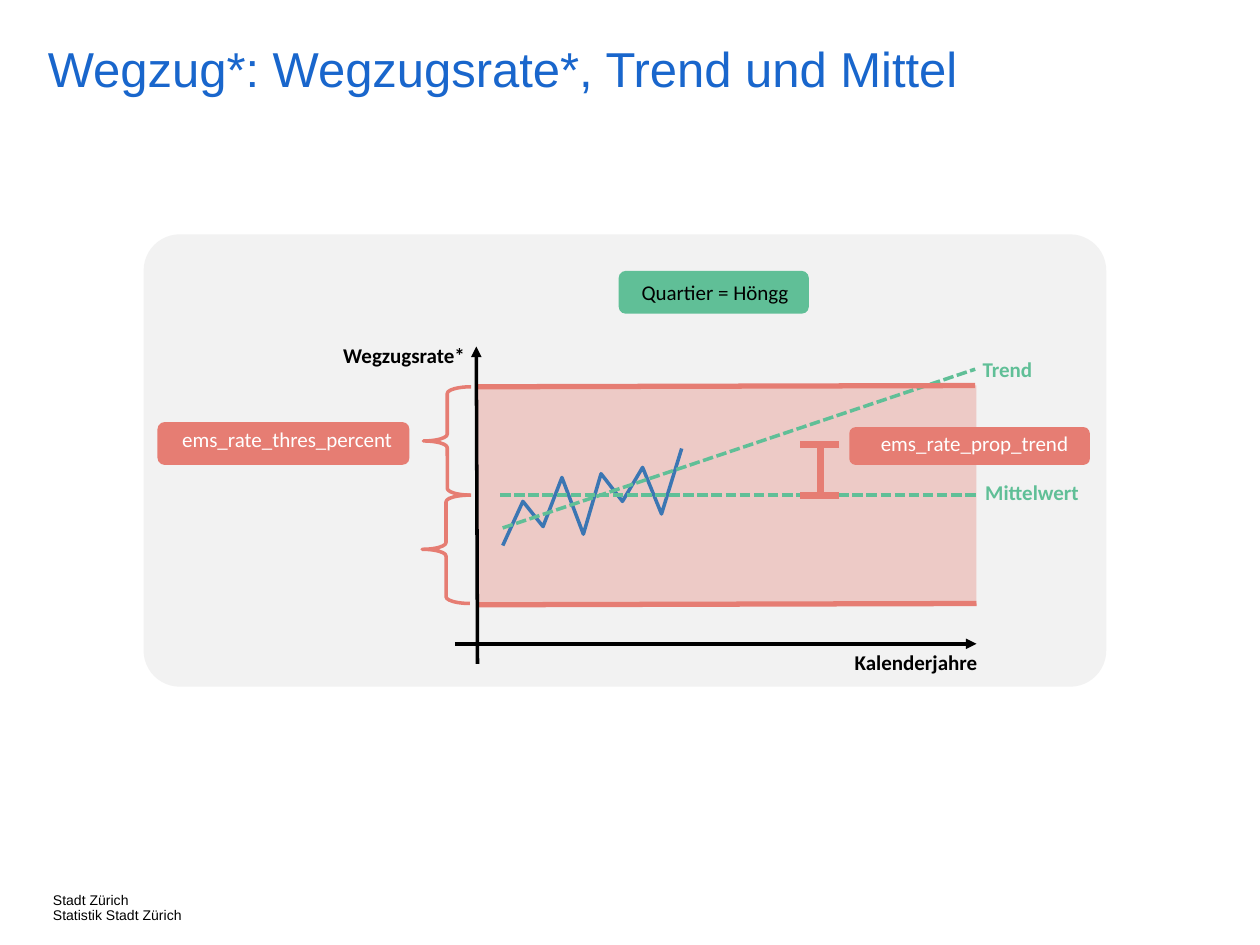
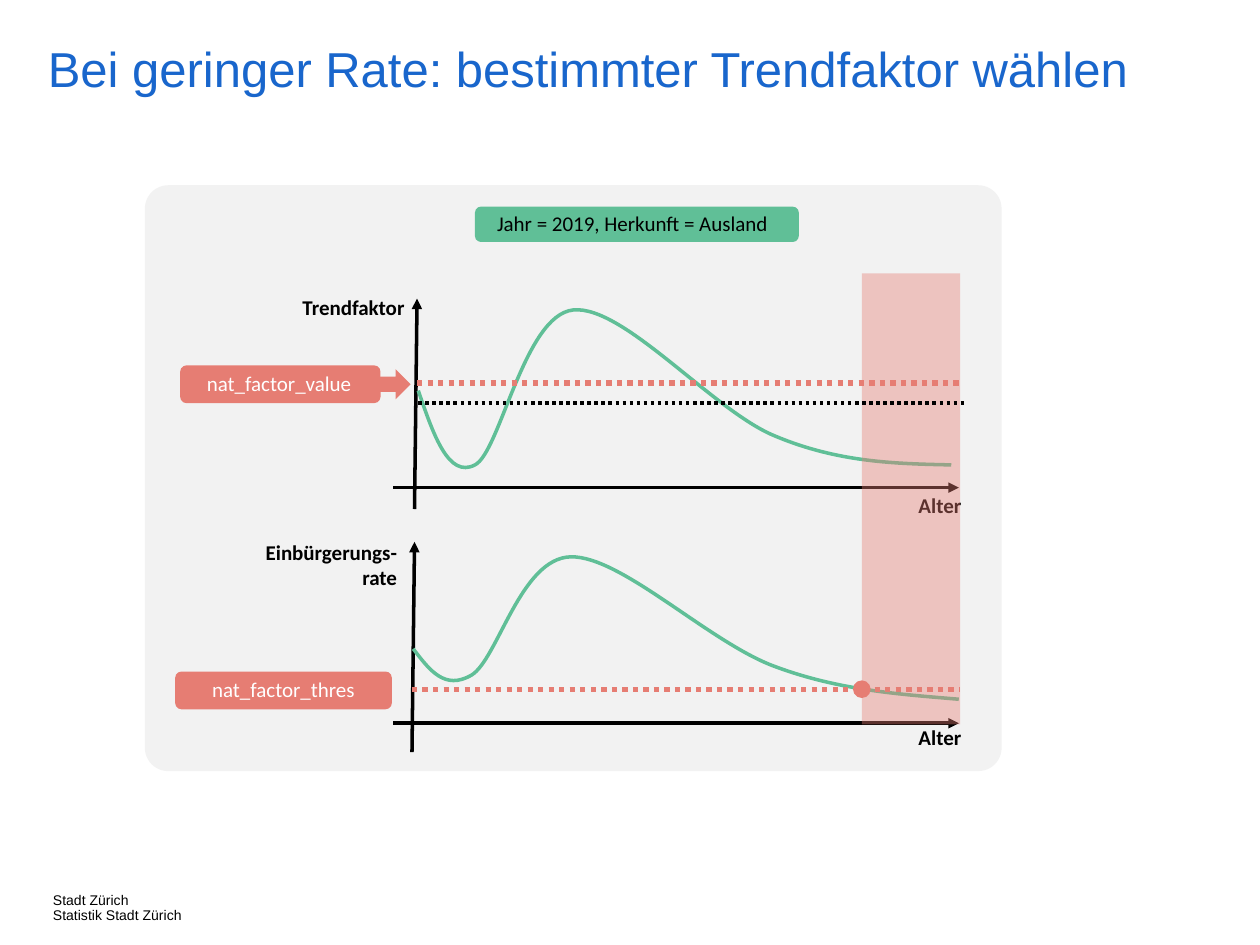
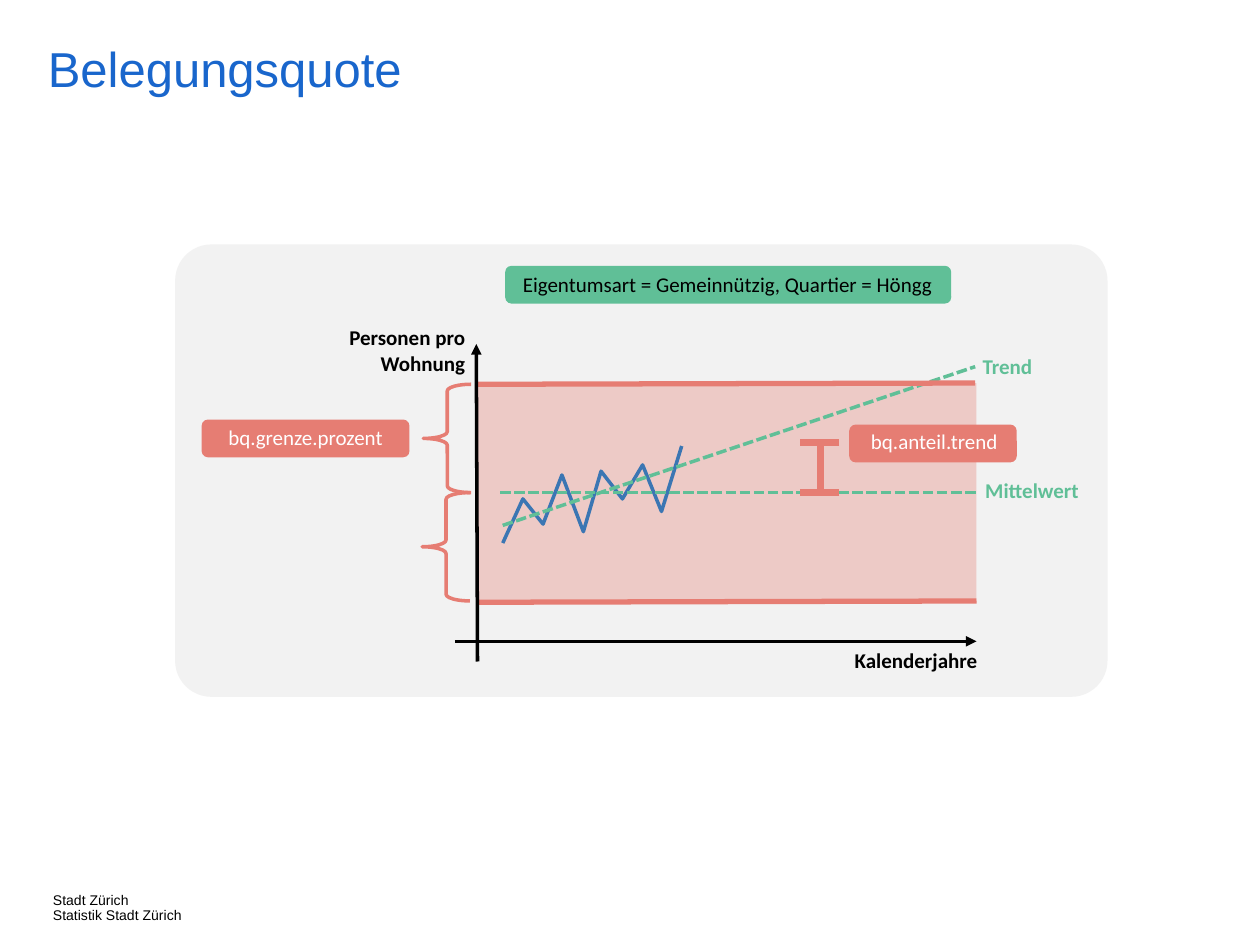
"""Build three slides on trend limits for rates, with one shared frame."""
from lxml import etree
from pptx import Presentation
from pptx.dml.color import RGBColor
from pptx.enum.dml import MSO_LINE
from pptx.enum.shapes import MSO_CONNECTOR, MSO_SHAPE
from pptx.enum.text import MSO_ANCHOR, MSO_AUTO_SIZE, PP_ALIGN
from pptx.oxml.ns import qn
from pptx.util import Inches, Pt

ROUNDED, RECTANGLE, OVAL = MSO_SHAPE.ROUNDED_RECTANGLE, MSO_SHAPE.RECTANGLE, MSO_SHAPE.OVAL
BRACE, ARROW = MSO_SHAPE.LEFT_BRACE, MSO_SHAPE.RIGHT_ARROW
DASHED, DOTTED = MSO_LINE.SQUARE_DOT, MSO_LINE.ROUND_DOT
LEFT, CENTER, RIGHT = PP_ALIGN.LEFT, PP_ALIGN.CENTER, PP_ALIGN.RIGHT
TOP, NO_FIT, STRAIGHT = MSO_ANCHOR.TOP, MSO_AUTO_SIZE.NONE, MSO_CONNECTOR.STRAIGHT

BLUE, BLACK, WHITE = "1966CC", "000000", "FFFFFF"
PANEL, RED, GREEN, SERIES = "F2F2F2", "E67D73", "60BF97", "3B76B3"

TITLE_FONT = {"name": "Arial", "size": Pt(28), "bold": False}
FOOTER_FONT = {"name": "Arial", "size": Pt(8), "bold": False}
PLAIN_FONT = {"name": "Calibri", "size": Pt(12), "bold": False}
BOLD_FONT = {**PLAIN_FONT, "bold": True}
FLUSH = dict.fromkeys(("margin_left", "margin_top", "margin_right", "margin_bottom"), 0)

FOOTER = ["Stadt Zürich", "Statistik Stadt Zürich"]
FOOTER_BOX = (0.42, 7.09, 1.31, 0.2)

MIGRATION = {
    "title": "Wegzug*: Wegzugsrate*, Trend und Mittel",
    "mean": 3.93,
    "panel": (1.14, 1.86, 7.64, 3.59),
    "measure": ("Wegzugsrate*", (2.56, 2.67, 1.23, 0.3)),
    "pills": [
        ("Quartier = Höngg", GREEN, BLACK, (4.91, 2.15, 1.51, 0.34), (4.93, 2.17, 1.49, 0.3)),
        ("ems_rate_thres_percent", RED, WHITE, (1.25, 3.35, 2, 0.34), (1.25, 3.34, 2.06, 0.3)),
        ("ems_rate_prop_trend", RED, WHITE, (6.74, 3.39, 1.91, 0.3), (6.82, 3.37, 1.83, 0.3)),
    ],
}
OCCUPANCY = {
    "title": "Belegungsquote",
    "mean": 3.91,
    "panel": (1.39, 1.94, 7.4, 3.59),
    "measure": ("Personen pro Wohnung", (2.55, 2.53, 1.24, 0.5)),
    "pills": [
        ("Eigentumsart = Gemeinnützig, Quartier = Höngg", GREEN, BLACK,
         (4.01, 2.11, 3.54, 0.3), (3.9, 2.11, 3.75, 0.3)),
        ("bq.grenze.prozent", RED, WHITE, (1.6, 3.33, 1.65, 0.3), (1.62, 3.32, 1.61, 0.3)),
        ("bq.anteil.trend", RED, WHITE, (6.74, 3.37, 1.33, 0.3), (6.76, 3.35, 1.31, 0.3)),
    ],
}
RATES = [(3.99, 0.4), (4.15, 0.05), (4.31, 0.25), (4.46, -0.14), (4.63, 0.31),
         (4.77, -0.17), (4.94, 0.05), (5.1, -0.22), (5.25, 0.15), (5.41, -0.37)]
RATE_LABELS = [
    ("Kalenderjahre", BLACK, CENTER, 6.65, 1.18, 1.24),
    ("Mittelwert", GREEN, RIGHT, 7.42, -0.17, 1.24),
    ("Trend", GREEN, RIGHT, 7.65, -1.15, 0.64),
]
RATE_LINES = [
    ((3.97, 0), (7.75, 0), GREEN, 2, DASHED),
    ((3.99, 0.26), (7.74, -1), GREEN, 2, DASHED),
    ((3.78, 0.87), (7.75, 0.86), RED, 3, None),
    ((3.78, -0.86), (7.74, -0.87), RED, 3, None),
    ((6.51, -0.4), (6.51, 0), RED, 4, None),
    ((6.66, -0.4), (6.35, -0.4), RED, 4, None),
    ((6.66, 0), (6.35, 0), RED, 4, None),
]
RATE_AXES = [((3.61, 1.18), (7.75, 1.18)), ((3.79, 1.34), (3.78, -1.18))]
RATE_BRACES = [(3.36, -0.86), (3.35, 0)]

FACTOR_TITLE = "Bei geringer Rate: bestimmter Trendfaktor wählen"
FACTOR_CHARTS = [
    {"measure": ("Trendfaktor", (1.91, 2.29, 1.4, 0.3)),
     "age": (6.84, 3.86, 1.24, 0.3),
     "axes": [((3.12, 3.87), (7.61, 3.87)), ((3.29, 4.04), (3.31, 2.37))],
     "curve": [(3.32, 3.1), (3.44, 3.45), (3.56, 3.8), (3.77, 3.69), (3.97, 3.59),
               (4.16, 2.5), (4.55, 2.46), (4.95, 2.42), (5.66, 3.26), (6.15, 3.46),
               (6.65, 3.67), (7.1, 3.68), (7.55, 3.69)]},
    {"measure": ("Einbürgerungs-rate", (2.01, 4.23, 1.24, 0.5)),
     "age": (6.84, 5.7, 1.24, 0.3),
     "axes": [((3.12, 5.74), (7.61, 5.74)), ((3.27, 5.97), (3.29, 4.3))],
     "curve": [(3.28, 5.15), (3.41, 5.32), (3.53, 5.48), (3.74, 5.36), (3.95, 5.24),
               (4.13, 4.43), (4.53, 4.42), (4.93, 4.41), (5.63, 5.1), (6.15, 5.29),
               (6.66, 5.48), (7.14, 5.51), (7.61, 5.55)]},
]
FACTOR_PILLS = [
    ("nat_factor_thres", RED, WHITE, (1.39, 5.33, 1.72, 0.3), (1.3, 5.32, 1.9, 0.3)),
    ("nat_factor_value", RED, WHITE, (1.43, 2.9, 1.59, 0.3), (1.34, 2.89, 1.75, 0.3)),
    ("Jahr = 2019, Herkunft = Ausland", GREEN, BLACK,
     (3.77, 1.64, 2.57, 0.28), (3.8, 1.62, 2.44, 0.3)),
]


def rgb(color):
    return RGBColor.from_string(color)


def inches(values):
    return [Inches(value) for value in values]


def assign(target, values):
    for name, value in values.items():
        setattr(target, name, value)


def write(frame, paragraphs, font, color, align, spacing=None):
    frame.text = "\n".join(paragraphs)
    for paragraph in frame.paragraphs:
        assign(paragraph, {"alignment": align, "line_spacing": spacing})
        assign(paragraph.runs[0].font, font)
        paragraph.runs[0].font.color.rgb = rgb(color)


def add_label(slide, text, box, color=BLACK, align=CENTER, font=BOLD_FONT):
    frame = slide.shapes.add_textbox(*inches(box)).text_frame
    frame.word_wrap = True
    write(frame, [text], font, color, align)


def add_block(slide, preset, box, color, radius=None, opacity=None):
    block = slide.shapes.add_shape(preset, *inches(box))
    block.shadow.inherit = False
    block.fill.solid()
    block.fill.fore_color.rgb = rgb(color)
    block.line.fill.background()
    if radius is not None:
        block.adjustments[0] = radius
    if opacity is not None:
        tint = block.fill._xPr.find(".//" + qn("a:srgbClr"))
        etree.SubElement(tint, qn("a:alpha"), val=str(opacity * 1000))


def add_pill(slide, text, fill, color, box, text_box):
    add_block(slide, ROUNDED, box, fill)
    add_label(slide, text, text_box, color, font=PLAIN_FONT)


def stroke(line, color, width, dash=None):
    line.color.rgb = rgb(color)
    line.width = Pt(width)
    if dash is not None:
        line.dash_style = dash


def add_line(slide, start, end, color, width, dash=None):
    connector = slide.shapes.add_connector(STRAIGHT, *inches(start + end))
    stroke(connector.line, color, width, dash)
    etree.SubElement(connector._element.spPr, qn("a:effectLst"))
    return connector


def add_axis(slide, start, end):
    axis = add_line(slide, start, end, BLACK, 2)
    etree.SubElement(axis.line._get_or_add_ln(), qn("a:tailEnd"), type="triangle")


def add_path(slide, points, color, curved=False):
    start, *rest = [inches(point) for point in points]
    builder = slide.shapes.build_freeform(*start)
    builder.add_line_segments(rest, close=False)
    outline = builder.convert_to_shape()
    outline.shadow.inherit = False
    outline.fill.background()
    stroke(outline.line, color, 2)
    if curved:
        route = outline._element.find(".//" + qn("a:path"))
        steps = route.findall(qn("a:lnTo"))
        for first in range(0, len(steps), 3):
            bend = etree.SubElement(route, qn("a:cubicBezTo"))
            for step in steps[first:first + 3]:
                bend.append(step[0])
                route.remove(step)


def add_brace(slide, box):
    brace = slide.shapes.add_shape(BRACE, *inches(box))
    brace.shadow.inherit = False
    brace.fill.background()
    brace.adjustments[0] = 0.14
    stroke(brace.line, RED, 2)


def add_framed_slide(deck, title, title_width=8.4):
    slide = deck.slides.add_slide(deck.slide_layouts[5])
    footer = slide.shapes.add_textbox(*inches(FOOTER_BOX)).text_frame
    assign(footer, {**FLUSH, "word_wrap": False})
    write(footer, FOOTER, FOOTER_FONT, BLACK, LEFT, 0.9)
    heading = slide.shapes.title
    place = inches((0.38, 0.36, title_width, 0.64))
    assign(heading, dict(zip(("left", "top", "width", "height"), place)))
    assign(heading.text_frame, {**FLUSH, "vertical_anchor": TOP, "auto_size": NO_FIT})
    write(heading.text_frame, [title], TITLE_FONT, BLUE, LEFT, 0.9)
    return slide


def add_rate_slide(deck, topic):
    slide = add_framed_slide(deck, topic["title"])
    mean = topic["mean"]

    def from_mean(point):
        return point[0], mean + point[1]

    add_block(slide, ROUNDED, topic["panel"], PANEL, radius=0.08)
    add_block(slide, RECTANGLE, (3.78, mean - 0.87, 3.97, 1.74), RED, opacity=34)
    add_label(slide, *topic["measure"], align=RIGHT)
    for text, color, align, left, offset, width in RATE_LABELS:
        add_label(slide, text, (left, mean + offset, width, 0.3), color, align)
    add_path(slide, [from_mean(point) for point in RATES], SERIES)
    for start, end, *style in RATE_LINES:
        add_line(slide, from_mean(start), from_mean(end), *style)
    for start, end in RATE_AXES:
        add_axis(slide, from_mean(start), from_mean(end))
    for corner in RATE_BRACES:
        add_brace(slide, (*from_mean(corner), 0.38, 0.86))
    for pill in topic["pills"]:
        add_pill(slide, *pill)


def add_factor_slide(deck):
    slide = add_framed_slide(deck, FACTOR_TITLE, 9.27)
    add_block(slide, ROUNDED, (1.15, 1.47, 6.8, 4.65), PANEL, radius=0.04)
    for chart in FACTOR_CHARTS:
        for start, end in chart["axes"]:
            add_axis(slide, start, end)
        add_label(slide, "Alter", chart["age"])
        add_label(slide, *chart["measure"], align=RIGHT)
        add_path(slide, chart["curve"], GREEN, curved=True)
    add_line(slide, (3.27, 5.47), (7.62, 5.47), RED, 3, DOTTED)
    add_block(slide, RECTANGLE, (6.84, 2.17, 0.78, 3.58), RED, opacity=40)
    add_line(slide, (3.31, 3.04), (7.62, 3.04), RED, 3, DOTTED)
    add_line(slide, (3.32, 3.2), (7.65, 3.2), BLACK, 2, DOTTED)
    for pill in FACTOR_PILLS:
        add_pill(slide, *pill)
    add_block(slide, ARROW, (2.98, 2.93, 0.28, 0.24), RED)
    add_block(slide, OVAL, (6.77, 5.4, 0.14, 0.14), RED)


def main():
    deck = Presentation()
    deck.slide_width, deck.slide_height = inches((10, 7.5))
    add_rate_slide(deck, MIGRATION)
    add_factor_slide(deck)
    add_rate_slide(deck, OCCUPANCY)
    deck.save("out.pptx")


if __name__ == "__main__":
    main()
